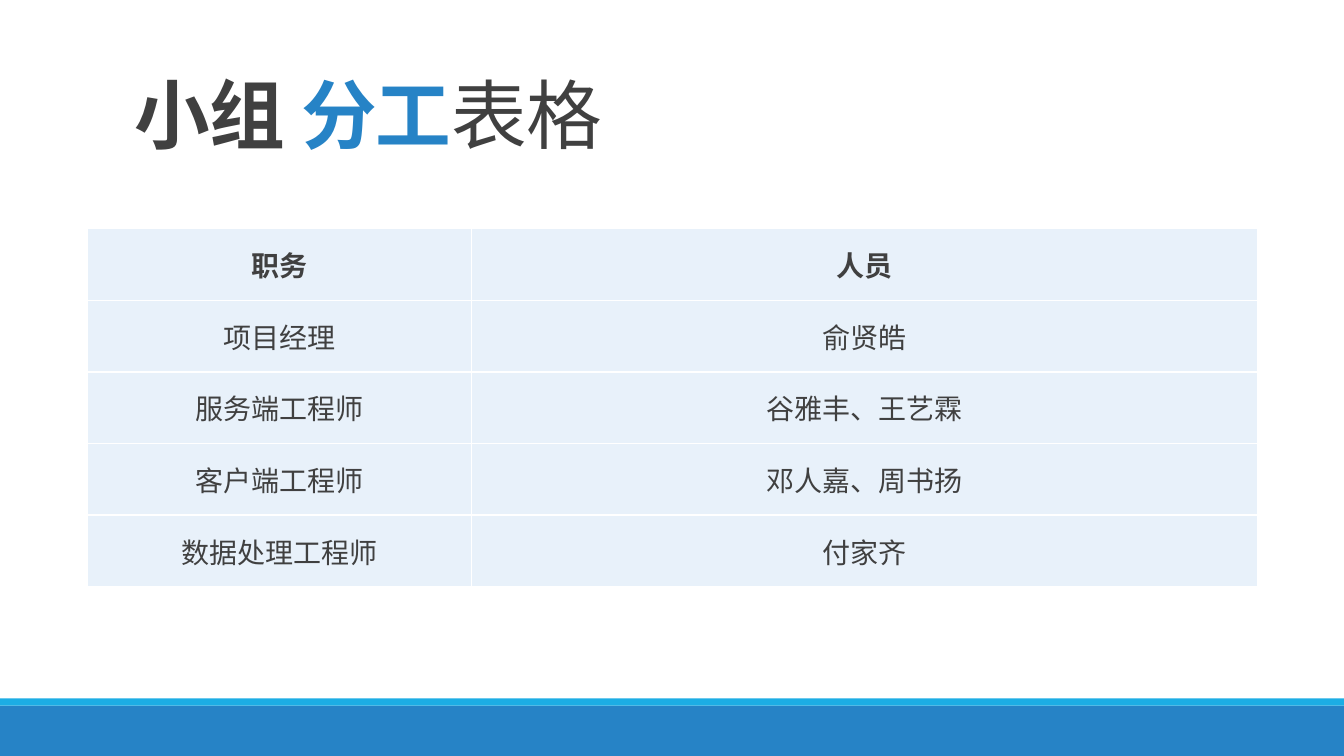
from lxml.etree import SubElement
from pptx import Presentation
from pptx.dml.color import RGBColor
from pptx.enum.shapes import MSO_SHAPE as Shape
from pptx.enum.text import MSO_ANCHOR as Anchor, PP_ALIGN as Align
from pptx.oxml.ns import qn
from pptx.util import Inches, Pt

COLORS = {
    "text": "404040",
    "accent": "2683C6",
    "stripe": "1CADE4",
    "cell": "E8F1FA",
    "border": "FFFFFF",
}
FONT = "Noto Sans CJK SC"
WIDTH, HEIGHT = Inches(13.33), Inches(7.5)
TITLE = [("小组 ", "text", True), ("分工", "accent", True), ("表格", "text", False)]
COLUMN_WIDTHS = [3.81, 7.79]
ROW_HEIGHT = 0.71
ROLES = [
    ("职务", "人员"),
    ("项目经理", "俞贤皓"),
    ("服务端工程师", "谷雅丰、王艺霖"),
    ("客户端工程师", "邓人嘉、周书扬"),
    ("数据处理工程师", "付家齐"),
]


def color(name):
    """Return the named colour."""
    return RGBColor.from_string(COLORS[name])


def style(font, properties, size, tint, bold):
    """Format a font, with the same typeface for East Asian text."""
    font.size, font.bold, font.name = Pt(size), bold, FONT
    font.color.rgb = color(tint)
    SubElement(properties, qn("a:ea"), typeface=FONT)


def add_band(slide, top, height, tint):
    """Add a full-width band across the foot of the slide."""
    band = slide.shapes.add_shape(Shape.RECTANGLE, 0, Inches(top), WIDTH, Inches(height))
    band.shadow.inherit = False
    band.fill.solid()
    band.fill.fore_color.rgb = color(tint)
    band.line.fill.background()


def set_title(slide):
    """Place the title and colour its parts."""
    title = slide.shapes.title
    title.left, title.top = Inches(1.23), Inches(0.38)
    title.width, title.height = Inches(11.07), Inches(1.25)
    frame = title.text_frame
    frame.vertical_anchor = Anchor.BOTTOM
    heading = frame.paragraphs[0]
    heading.alignment = Align.LEFT
    heading.line_spacing = 0.85
    for words, tint, bold in TITLE:
        part = heading.add_run()
        part.text = words
        properties = part._r.get_or_add_rPr()
        properties.set("spc", "-50")
        style(part.font, properties, 54, tint, bold)


def add_borders(cell):
    """Draw thin lines on all four sides of a cell."""
    properties = cell._tc.get_or_add_tcPr()
    for index, side in enumerate(("lnL", "lnR", "lnT", "lnB")):
        line = properties.makeelement(qn(f"a:{side}"), {"w": str(Pt(1))})
        fill = SubElement(line, qn("a:solidFill"))
        SubElement(fill, qn("a:srgbClr"), val=COLORS["border"])
        properties.insert(index, line)


def fill_cell(cell, words, bold):
    """Write one centred cell on its tinted ground."""
    cell.text = words
    cell.vertical_anchor = Anchor.MIDDLE
    cell.fill.solid()
    cell.fill.fore_color.rgb = color("cell")
    add_borders(cell)
    entry = cell.text_frame.paragraphs[0]
    entry.alignment = Align.CENTER
    font = entry.font
    style(font, entry._p.pPr.find(qn("a:defRPr")), 20, "text", bold)


def add_roles(slide):
    """Add the table of roles and members."""
    roles = slide.shapes.add_table(
        len(ROLES), len(COLUMN_WIDTHS), Inches(0.87), Inches(2.27),
        Inches(sum(COLUMN_WIDTHS)), Inches(ROW_HEIGHT * len(ROLES)),
    ).table
    roles.first_row = roles.horz_banding = False
    for column, width in zip(roles.columns, COLUMN_WIDTHS):
        column.width = Inches(width)
    for row_index, entries in enumerate(ROLES):
        for column_index, words in enumerate(entries):
            fill_cell(roles.cell(row_index, column_index), words, row_index == 0)


def main():
    """Build the slide and save it."""
    deck = Presentation()
    deck.slide_width, deck.slide_height = WIDTH, HEIGHT
    slide = deck.slides.add_slide(deck.slide_layouts[5])
    add_band(slide, 7, 0.5, "accent")
    add_band(slide, 6.93, 0.07, "stripe")
    add_roles(slide)
    set_title(slide)
    deck.save("out.pptx")


if __name__ == "__main__":
    main()
